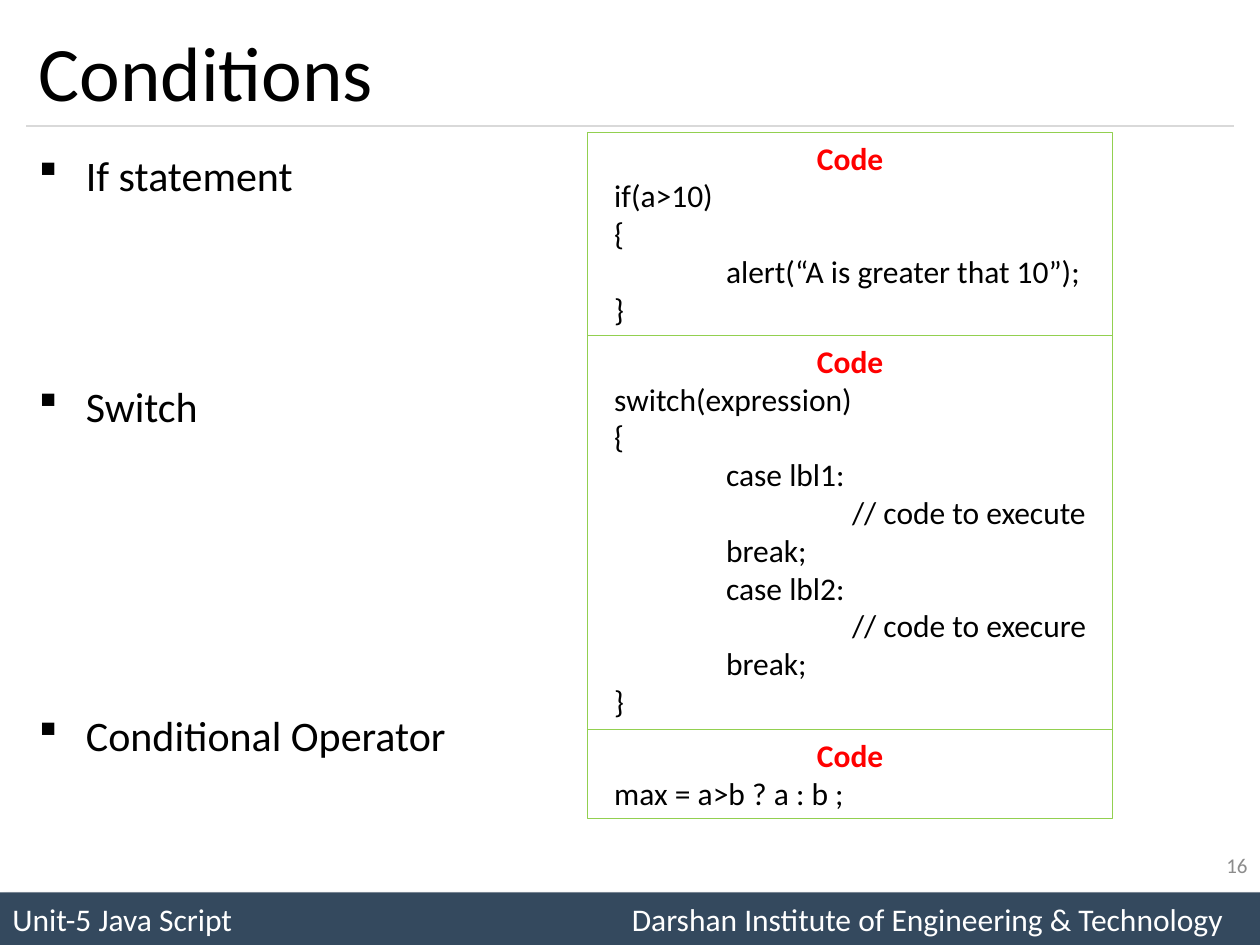
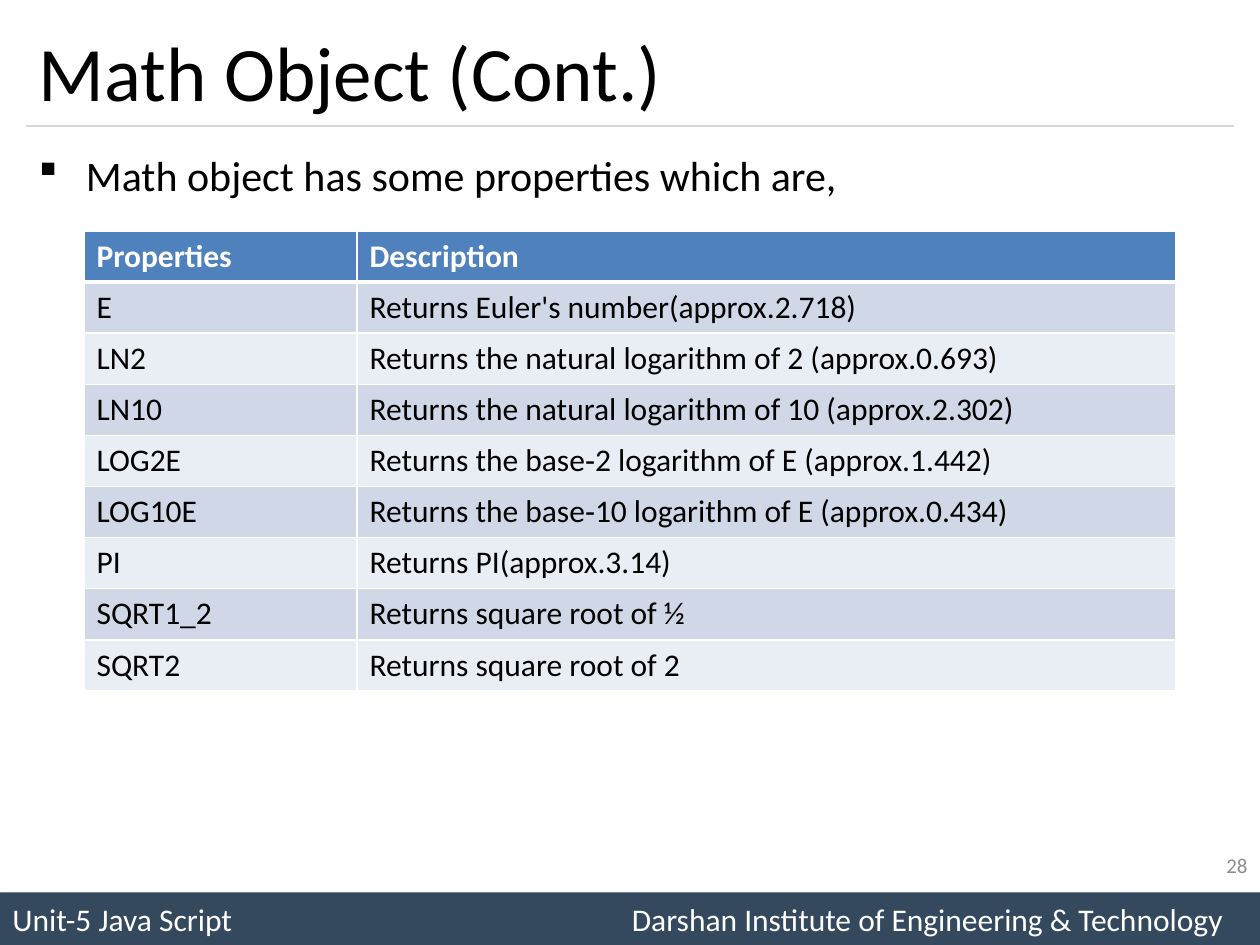
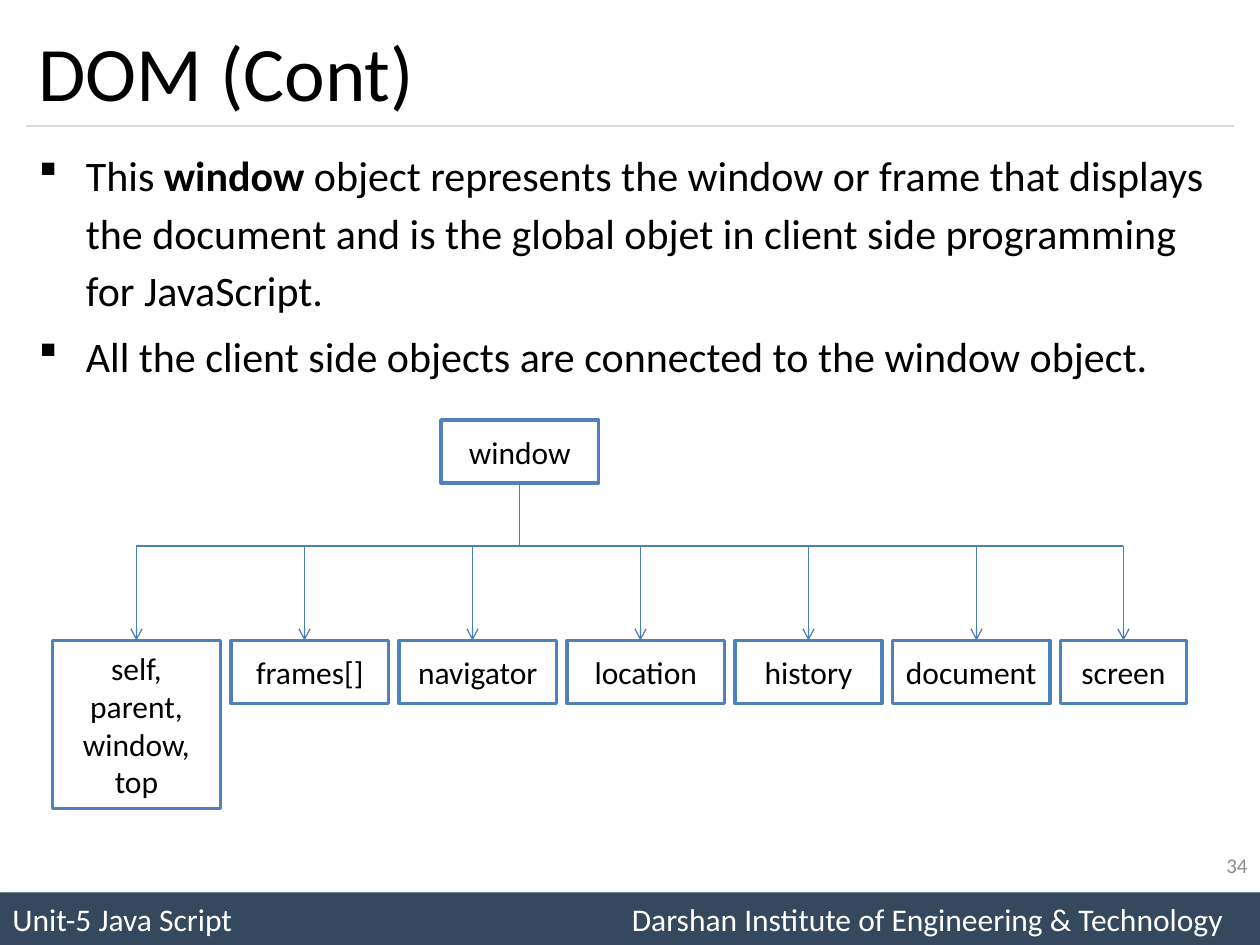
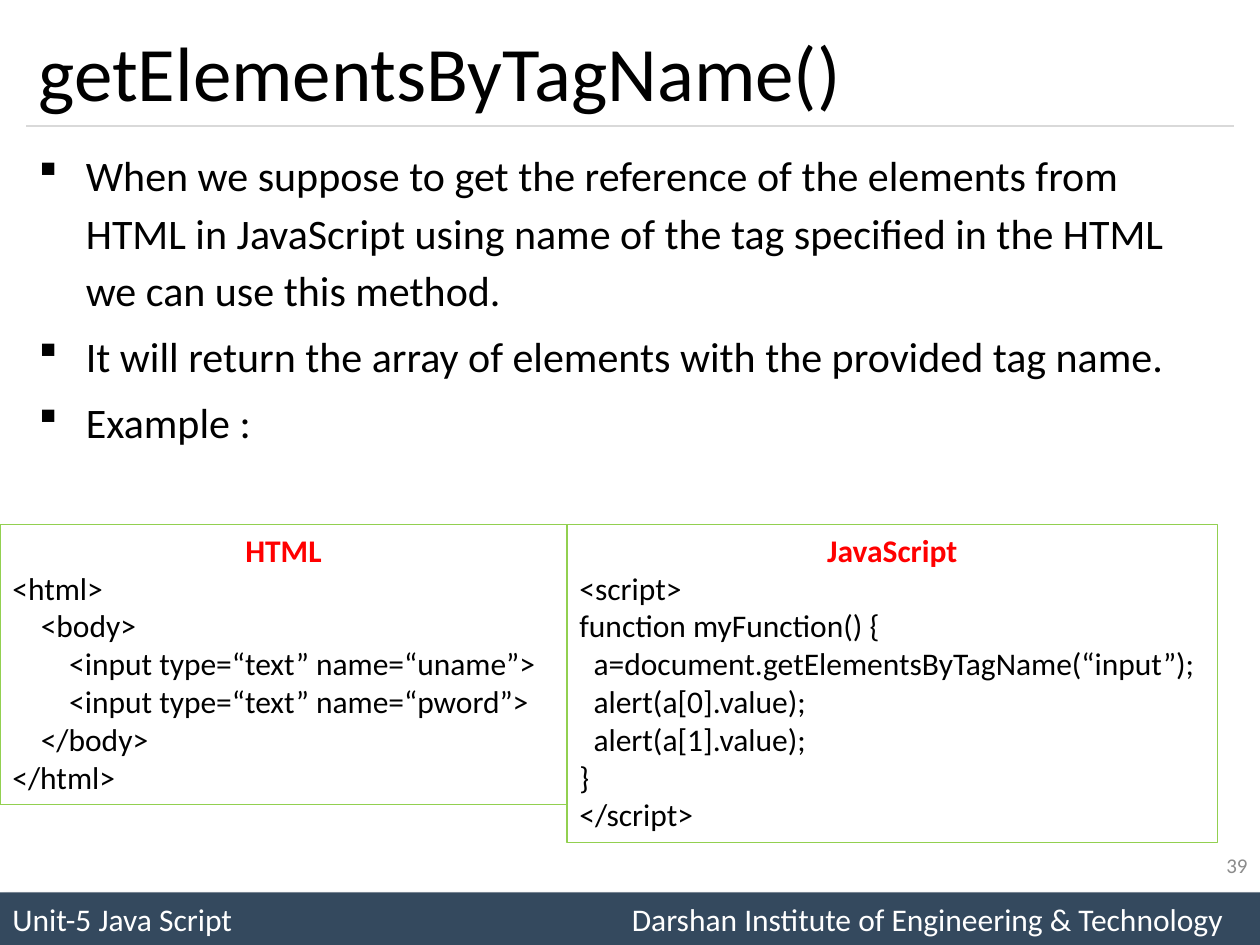
from lxml import etree
from pptx import Presentation
from pptx import util as u
from pptx.dml.color import RGBColor
from pptx.enum import shapes, text
from pptx.oxml import parse_xml
from pptx.oxml.ns import nsdecls, qn

FONT = "Calibri"
BLACK, WHITE, RED = "000000", "FFFFFF", "FF0000"
NAVY, RULE, GREY = "34495E", "D9D9D9", "8C8C8C"
GREEN, BLUE, LINK = "92D050", "4F81BD", "4B7EBC"
BANDS = ("E9EDF4", "D0D8E8")
LEFT, CENTER, RIGHT = text.PP_ALIGN.LEFT, text.PP_ALIGN.CENTER, text.PP_ALIGN.RIGHT
TOP, MIDDLE = text.MSO_ANCHOR.TOP, text.MSO_ANCHOR.MIDDLE
CODE_LINE, CODE_PAD = 21.8, 7.2


def rgb(value):
    return RGBColor.from_string(value)


def pts(*values):
    return [u.Pt(v) for v in values]


def apply(obj, formats):
    for name, value in formats.items():
        setattr(obj, name, value)


def add_run(p, content, size=18, color=BLACK, bold=False):
    r = p.add_run()
    r.text = content
    apply(r.font, {"name": FONT, "size": u.Pt(size), "bold": bold})
    r.font.color.rgb = rgb(color)


def paragraph(tf, index, **formats):
    p = tf.add_paragraph() if index else tf.paragraphs[0]
    apply(p, formats)
    return p


def add_tabs(p, *stops):
    tabs = etree.SubElement(p._p.get_or_add_pPr(), qn("a:tabLst"))
    for stop in stops:
        etree.SubElement(tabs, qn("a:tab"), pos=str(u.Pt(stop)), algn="l")


def add_text(s, box, content, size, color=BLACK, align=LEFT):
    tf = s.shapes.add_textbox(*pts(*box)).text_frame
    apply(tf, {"word_wrap": True, "vertical_anchor": MIDDLE})
    add_run(paragraph(tf, 0, alignment=align), content, size, color)


def add_box(s, box, fill=None, line=None, width=0.75, anchor=MIDDLE):
    sp = s.shapes.add_shape(shapes.MSO_SHAPE.RECTANGLE, *pts(*box))
    sp.shadow.inherit = False
    if fill:
        sp.fill.solid()
        sp.fill.fore_color.rgb = rgb(fill)
    else:
        sp.fill.background()
    if line:
        sp.line.color.rgb = rgb(line)
        sp.line.width = u.Pt(width)
    else:
        sp.line.fill.background()
    apply(sp.text_frame, {"word_wrap": True, "vertical_anchor": anchor})
    return sp


def add_line(s, ends, color, arrow=False):
    c = s.shapes.add_connector(shapes.MSO_CONNECTOR.STRAIGHT, *pts(*ends))
    c.line.color.rgb = rgb(color)
    c.line.width = u.Pt(0.75)
    if arrow:
        etree.SubElement(c.line._get_or_add_ln(), qn("a:tailEnd"), type="arrow")
    etree.SubElement(c._element.spPr, qn("a:effectLst"))


def add_footer(s):
    sp = add_box(s, (0, 510, 720, 30), NAVY)
    sp._element.spPr.find(qn("a:effectLst")).append(parse_xml(
        f'<a:outerShdw {nsdecls("a")} blurRad="50800" dist="38100" dir="2700000">'
        '<a:srgbClr val="000000"><a:alpha val="40000"/></a:srgbClr></a:outerShdw>'))
    p = paragraph(sp.text_frame, 0, alignment=LEFT)
    add_tabs(p, 354)
    add_run(p, "Unit-5 Java Script\tDarshan Institute of Engineering & Technology", color=WHITE)


def add_slide(prs, title, number):
    s = prs.slides.add_slide(prs.slide_layouts[6])
    add_footer(s)
    add_line(s, (15, 72, 705, 72), RULE)
    add_text(s, (15, 9, 690, 63), title, 44)
    add_text(s, (552, 480, 168, 29), str(number), 12, GREY, RIGHT)
    return s


def add_bullets(s, items, gaps=None):
    tf = s.shapes.add_textbox(*pts(15, 78, 690, 420)).text_frame
    tf.word_wrap = True
    gaps = gaps or [0] + [4.8] * (len(items) - 1)
    for i, (item, gap) in enumerate(zip(items, gaps)):
        p = paragraph(tf, i, line_spacing=1.14, space_before=u.Pt(gap))
        pPr = p._p.get_or_add_pPr()
        pPr.set("marL", str(u.Pt(27)))
        pPr.set("indent", str(-u.Pt(27)))
        etree.SubElement(pPr, qn("a:buFont"), typeface="Wingdings", charset="2")
        etree.SubElement(pPr, qn("a:buChar"), char="§")
        for j, part in enumerate(item.split("*")):
            add_run(p, part, 24, bold=j % 2 == 1)


def add_code(s, left, top, width, heading, code):
    lines = code.split("\n")
    height = CODE_PAD + CODE_LINE * (len(lines) + 1)
    tf = add_box(s, (left, top, width, height), line=GREEN, anchor=TOP).text_frame
    tf.auto_size = text.MSO_AUTO_SIZE.SHAPE_TO_FIT_TEXT
    add_run(paragraph(tf, 0, alignment=CENTER), heading, color=RED, bold=True)
    for i, line in enumerate(lines, 1):
        p = paragraph(tf, i, alignment=LEFT)
        if "\t" in line:
            add_tabs(p, 72, 144)
        add_run(p, line)
    return top + height


def add_node(s, box, label):
    tf = add_box(s, box, WHITE, BLUE, 2).text_frame
    for i, line in enumerate(label.split("\n")):
        add_run(paragraph(tf, i, alignment=CENTER), line)


def add_tree(s, root, children):
    bar, top, gap, pitch, first, last = 312, 366, 6, 96, 78, 642
    add_node(s, (252, 240, 90, 36), root)
    add_line(s, (297, 276, 297, bar), LINK)
    add_line(s, (first, bar, last, bar), LINK)
    left = 30
    for i, (label, width, height) in enumerate(children):
        add_node(s, (left, top, width, height), label)
        x = min(first + pitch * i, last)
        add_line(s, (x, bar, x, top), LINK, arrow=True)
        left += width + gap


def set_borders(cell, widths):
    tcPr = cell._tc.get_or_add_tcPr()
    for side, width in widths.items():
        tcPr.append(parse_xml(
            f'<a:ln{side} {nsdecls("a")} w="{u.Pt(width)}"><a:solidFill>'
            f'<a:srgbClr val="{WHITE}"/></a:solidFill></a:ln{side}>'))


def add_grid(s, left, top, widths, row_height, rows):
    frame = s.shapes.add_table(len(rows), len(widths),
                               *pts(left, top, sum(widths), row_height * len(rows)))
    table = frame.table
    for column, width in zip(table.columns, widths):
        column.width = u.Pt(width)
    for i, row in enumerate(rows):
        table.rows[i].height = u.Pt(row_height)
        head = i == 0
        for j, value in enumerate(row):
            cell = table.cell(i, j)
            set_borders(cell, {"L": 1, "R": 1, "T": 3 if i == 1 else 1, "B": 3 if head else 1})
            cell.fill.solid()
            cell.fill.fore_color.rgb = rgb(BLUE if head else BANDS[i % 2])
            add_run(cell.text_frame.paragraphs[0], value,
                    color=WHITE if head else BLACK, bold=head)


IF_CODE = """  if(a>10)
  {
  \talert(“A is greater that 10”);
  }"""

SWITCH_CODE = """  switch(expression)
  {
  \tcase lbl1:
\t\t// code to execute
\tbreak;
\tcase lbl2:
\t\t// code to execure
\tbreak;
  }"""

HTML_CODE = """<html>
    <body>
        <input type=“text” name=“uname”>
        <input type=“text” name=“pword”>
    </body>
</html>"""

SCRIPT_CODE = """<script>
function myFunction() {
  a=document.getElementsByTagName(“input”);
  alert(a[0].value);
  alert(a[1].value);
}
</script>"""

MATH_ROWS = [
    ("Properties", "Description"),
    ("E", "Returns Euler's number(approx.2.718)"),
    ("LN2", "Returns the natural logarithm of 2 (approx.0.693)"),
    ("LN10", "Returns the natural logarithm of 10 (approx.2.302)"),
    ("LOG2E", "Returns the base‐2 logarithm of E (approx.1.442)"),
    ("LOG10E", "Returns the base‐10 logarithm of E (approx.0.434)"),
    ("PI", "Returns PI(approx.3.14)"),
    ("SQRT1_2", "Returns square root of ½"),
    ("SQRT2", "Returns square root of 2"),
]

WINDOW_CHILDREN = [
    ("self,\nparent,\nwindow,\ntop", 96, 96),
    ("frames[]", 90, 36),
    ("navigator", 90, 36),
    ("location", 90, 36),
    ("history", 84, 36),
    ("document", 90, 36),
    ("screen", 72, 36),
]


def main():
    prs = Presentation()
    prs.slide_width, prs.slide_height = pts(720, 540)

    s = add_slide(prs, "Conditions", 16)
    add_bullets(s, ["If statement", "Switch", "Conditional Operator"], [0, 99, 155])
    top = 75.6
    for code in (IF_CODE, SWITCH_CODE, "  max = a>b ? a : b ;"):
        top = add_code(s, 335.8, top, 300, "Code", code)

    s = add_slide(prs, "Math Object (Cont.)", 28)
    add_bullets(s, ["Math object has some properties which are,"])
    add_grid(s, 48, 132, (156, 468), 29.2, MATH_ROWS)

    s = add_slide(prs, "DOM (Cont)", 34)
    add_bullets(s, [
        "This *window* object represents the window or frame that displays the document "
        "and is the global objet in client side programming for JavaScript.",
        "All the client side objects are connected to the window object.",
    ])
    add_tree(s, "window", WINDOW_CHILDREN)

    s = add_slide(prs, "getElementsByTagName()", 39)
    add_bullets(s, [
        "When we suppose to get the reference of the elements from HTML in JavaScript "
        "using name of the tag specified in the HTML we can use this method.",
        "It will return the array of elements with the provided tag name.",
        "Example :",
    ])
    add_code(s, 0, 299.8, 324, "HTML", HTML_CODE)
    add_code(s, 324, 299.8, 371.8, "JavaScript", SCRIPT_CODE)

    prs.save("out.pptx")


if __name__ == "__main__":
    main()
